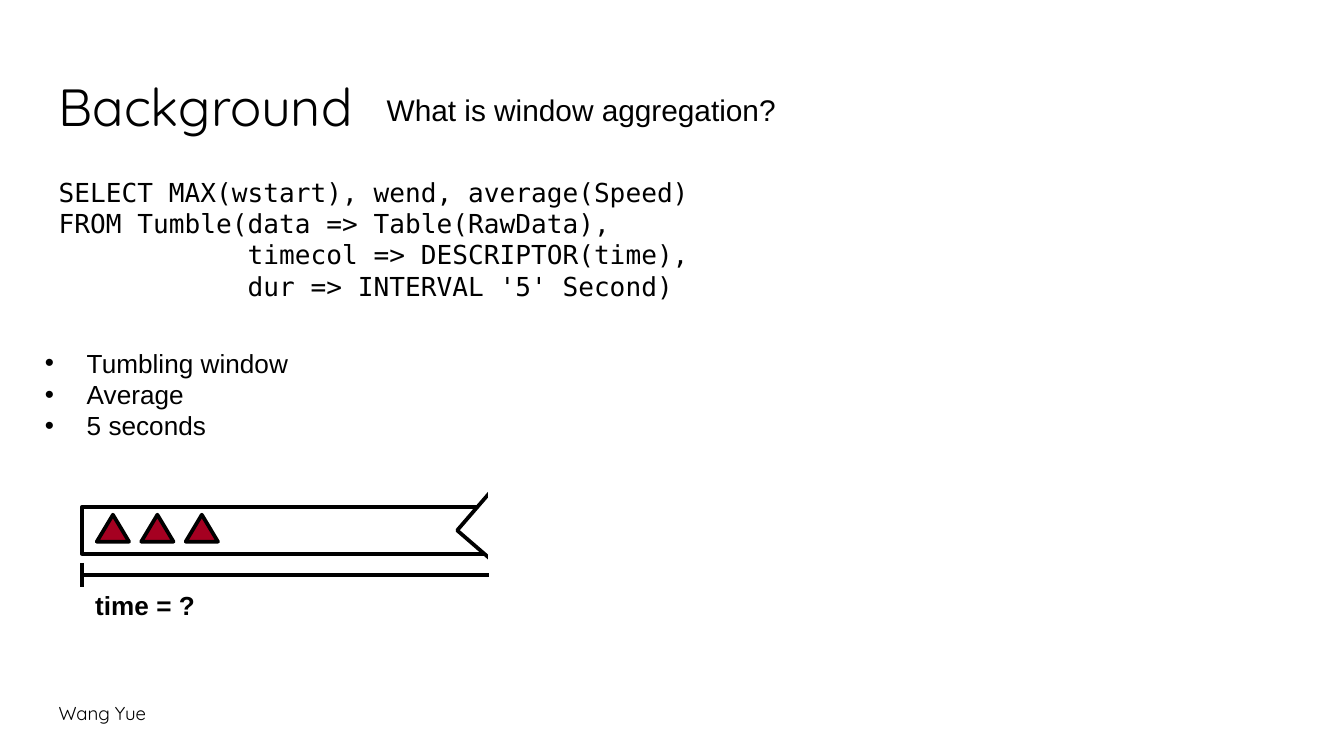
from dataclasses import dataclass

from lxml.etree import SubElement
from pptx import Presentation
from pptx.dml.color import RGBColor
from pptx.enum.shapes import MSO_CONNECTOR, MSO_SHAPE
from pptx.enum.text import MSO_ANCHOR
from pptx.oxml.ns import qn
from pptx.slide import Slide
from pptx.util import Cm, Pt

COLORS = {"ink": "000000", "paper": "FFFFFF", "event": "A50021"}


@dataclass(frozen=True)
class Box:
    left: float
    top: float
    width: float
    height: float


@dataclass(frozen=True)
class TextBlock:
    box: Box
    lines: tuple[str, ...]
    size: float
    font: str = "Arial"
    bold: bool = False
    bulleted: bool = False
    vertical_inset: float = 0.13
    anchor: MSO_ANCHOR = MSO_ANCHOR.TOP


@dataclass(frozen=True)
class Figure:
    kind: MSO_SHAPE
    box: Box
    fill: str = "paper"
    line: str = "ink"
    rotation: float = 0


@dataclass(frozen=True)
class Segment:
    start: tuple[float, float]
    end: tuple[float, float]


TEXT_BLOCKS = (
    TextBlock(Box(0.86, 13.06, 9.86, 1.09), ("Wang Yue",), 10, "Quicksand",
              vertical_inset=0.25),
    TextBlock(Box(0.86, 1.24, 23.67, 1.6), ("Background",), 28, "Quicksand",
              vertical_inset=0.25, anchor=MSO_ANCHOR.BOTTOM),
    TextBlock(Box(7.06, 1.6, 12.8, 0.94), ("What is window aggregation?",), 16),
    TextBlock(Box(0.86, 3.2, 13.44, 2.64), (
        "SELECT MAX(wstart), wend, average(Speed)",
        "FROM Tumble(data => Table(RawData),",
        "            timecol => DESCRIPTOR(time),",
        "            dur => INTERVAL '5' Second)",
    ), 14, "DejaVu Sans Mono"),
    TextBlock(Box(0.6, 6.43, 6.22, 2.06),
              ("Tumbling window", "Average", "5 seconds"), 14, bulleted=True),
    TextBlock(Box(1.55, 11.02, 2.95, 0.86), ("time = ?",), 14, bold=True),
)

STREAM_LEFT = 1.55
STREAM_RIGHT = 9.25
AXIS_Y = 10.87
EVENT_LEFT = 1.83
EVENT_PITCH = 0.84

FIGURES = (
    Figure(MSO_SHAPE.RECTANGLE, Box(STREAM_LEFT, 9.58, 7.92, 0.89)),
    Figure(MSO_SHAPE.RIGHT_TRIANGLE, Box(8.97, 9.14, 1.24, 1.47), rotation=40.8),
    Figure(MSO_SHAPE.RECTANGLE, Box(STREAM_RIGHT, 8.89, 1.7, 2.54), line="paper"),
    *(
        Figure(MSO_SHAPE.ISOSCELES_TRIANGLE,
               Box(EVENT_LEFT + index * EVENT_PITCH, 9.73, 0.61, 0.51), "event")
        for index in range(3)
    ),
)

SEGMENTS = (
    Segment((STREAM_LEFT, AXIS_Y - 0.23), (STREAM_LEFT, AXIS_Y + 0.23)),
    Segment((STREAM_LEFT, AXIS_Y), (STREAM_RIGHT, AXIS_Y)),
)


def color(name: str) -> RGBColor:
    return RGBColor.from_string(COLORS[name])


def lengths(box: Box) -> tuple[Cm, Cm, Cm, Cm]:
    return Cm(box.left), Cm(box.top), Cm(box.width), Cm(box.height)


def add_text(slide: Slide, block: TextBlock) -> None:
    frame = slide.shapes.add_textbox(*lengths(block.box)).text_frame
    frame.word_wrap = True
    frame.vertical_anchor = block.anchor
    frame.margin_left = frame.margin_right = Cm(0.25)
    frame.margin_top = frame.margin_bottom = Cm(block.vertical_inset)
    frame.text = "\n".join(block.lines)
    for paragraph in frame.paragraphs:
        if block.bulleted:
            properties = paragraph._p.get_or_add_pPr()
            properties.set("marL", str(Cm(0.79)))
            properties.set("indent", str(-Cm(0.79)))
            SubElement(properties, qn("a:buFont"), typeface="Arial")
            SubElement(properties, qn("a:buChar"), char="•")
        paragraph.font.name = block.font
        paragraph.font.size = Pt(block.size)
        paragraph.font.bold = block.bold
        paragraph.font.color.rgb = color("ink")


def add_figure(slide: Slide, figure: Figure) -> None:
    shape = slide.shapes.add_shape(figure.kind, *lengths(figure.box))
    shape.shadow.inherit = False
    shape.rotation = figure.rotation
    shape.fill.solid()
    shape.fill.fore_color.rgb = color(figure.fill)
    shape.line.color.rgb = color(figure.line)
    shape.line.width = Pt(2)


def add_segment(slide: Slide, segment: Segment) -> None:
    points = (Cm(value) for value in segment.start + segment.end)
    connector = slide.shapes.add_connector(MSO_CONNECTOR.STRAIGHT, *points)
    connector.line.color.rgb = color("ink")
    connector.line.width = Pt(2.25)
    SubElement(connector._element.spPr, qn("a:effectLst"))


def main() -> None:
    presentation = Presentation()
    presentation.slide_width = Cm(25.4)
    presentation.slide_height = Cm(14.29)
    slide = presentation.slides.add_slide(presentation.slide_layouts[6])
    for figure in FIGURES:
        add_figure(slide, figure)
    for segment in SEGMENTS:
        add_segment(slide, segment)
    for block in TEXT_BLOCKS:
        add_text(slide, block)
    presentation.save("out.pptx")


if __name__ == "__main__":
    main()
